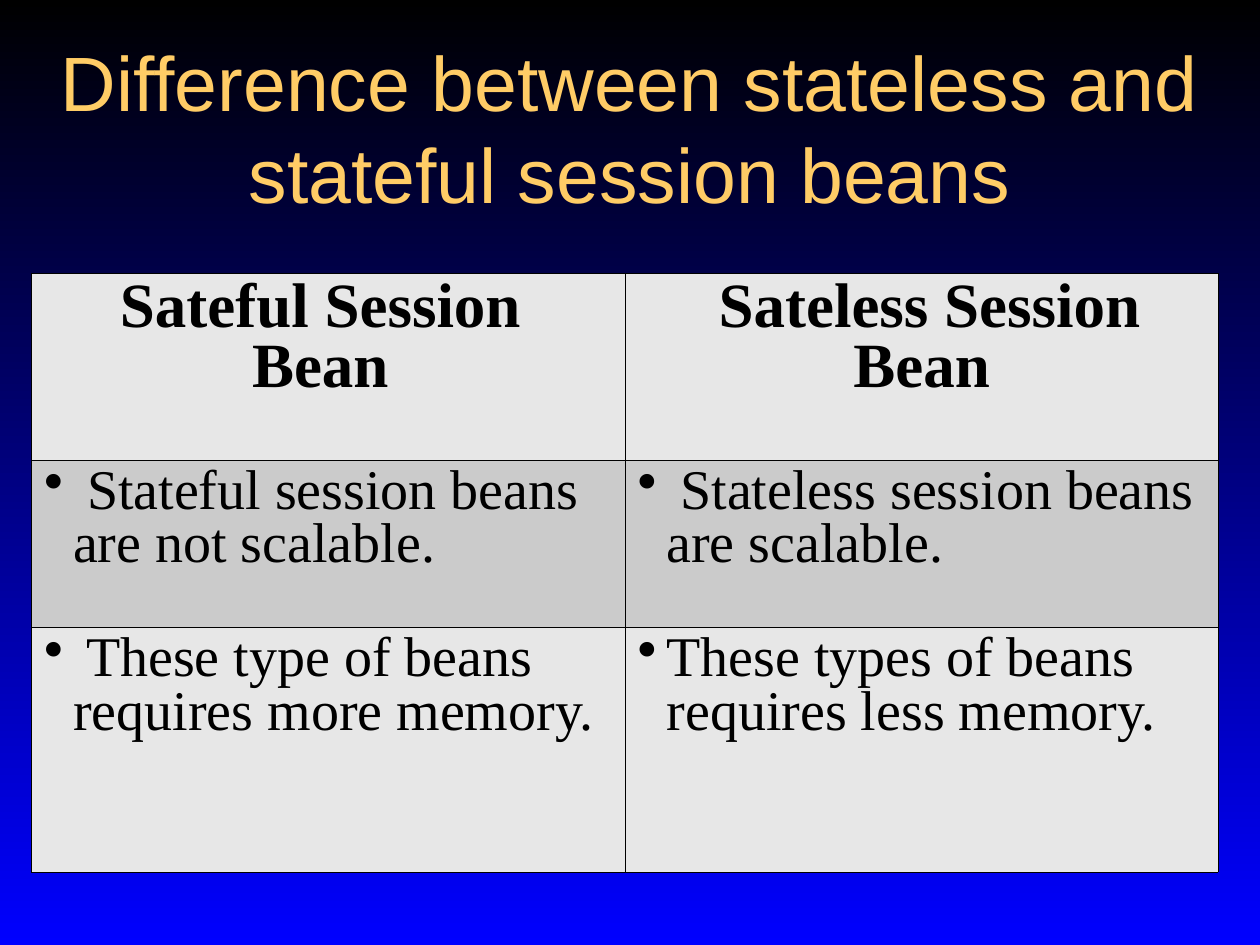
import pptx
import pptx.util
import pptx.dml.color
import pptx.enum.text
import pptx.oxml
import pptx.oxml.ns
from lxml import etree

Inches, Pt = pptx.util.Inches, pptx.util.Pt
RGB = pptx.dml.color.RGBColor.from_string
ALIGN = pptx.enum.text.PP_ALIGN
qn = pptx.oxml.ns.qn

# Content
TITLE = "Difference between stateless and stateful session beans"
HEADINGS = [["Sateful Session ", "Bean "], [" Sateless Session Bean"]]
COMPARISONS = [
    [" Stateful session beans are not scalable.",
     " Stateless session beans are scalable."],
    [" These type of beans requires more memory.",
     "These types of beans requires less memory."],
]
ROW_HEIGHTS = [1.48, 1.33, 1.94]
COLUMN_WIDTH = 4.71

THEME = {
    "top": "000000", "bottom": "0000FF", "title": "FFCC66", "text": "000000",
    "border": "000000", "bands": ["E7E7E7", "CBCBCB"],
    "title_font": "Arial", "table_font": "Times New Roman",
    "title_size": 44, "heading_size": 36, "body_size": 32,
    "line_spacing": 0.86, "hanging": 0.23, "border_width": 0.06,
}


def style_font(paragraph, font_name, size, color, bold=False):
    font = paragraph.font
    font.name, font.size, font.bold = font_name, Pt(size), bold
    font.color.rgb = RGB(color)


def add_bullet(paragraph):
    properties = paragraph._p.get_or_add_pPr()
    hanging = Inches(THEME["hanging"])
    properties.set("marL", str(hanging))
    properties.set("indent", str(-hanging))
    # The bullet goes after the spacing and before the default run properties
    bullet = etree.Element(qn("a:buChar"), char="•")
    properties.find(qn("a:defRPr")).addprevious(bullet)


def add_borders(cell):
    properties = cell._tc.get_or_add_tcPr()
    for position, side in enumerate(("lnL", "lnR", "lnT", "lnB")):
        line = etree.Element(qn("a:" + side), w=str(Pt(THEME["border_width"])))
        fill = etree.SubElement(line, qn("a:solidFill"))
        etree.SubElement(fill, qn("a:srgbClr"), val=THEME["border"])
        properties.insert(position, line)


def fill_cell(cell, lines, size, band, heading):
    cell.fill.solid()
    cell.fill.fore_color.rgb = RGB(band)
    add_borders(cell)
    cell.text = "\n".join(lines)
    for paragraph in cell.text_frame.paragraphs:
        paragraph.line_spacing = THEME["line_spacing"]
        style_font(paragraph, THEME["table_font"], size, THEME["text"], heading)
        if heading:
            paragraph.alignment = ALIGN.CENTER
        else:
            add_bullet(paragraph)


def main():
    deck = pptx.Presentation()
    deck.slide_width, deck.slide_height = Inches(10), Inches(7.5)
    slide = deck.slides.add_slide(deck.slide_layouts[5])

    # Background gradient, top to bottom
    background = slide.background.fill
    background.gradient()
    background.gradient_angle = 270
    for stop, color in zip(background.gradient_stops, ("top", "bottom")):
        stop.color.rgb = RGB(THEME[color])
    for stop, position in zip(background.gradient_stops, (0, 1)):
        stop.position = position

    # Title
    title = slide.shapes.title
    title.left, title.top = Inches(0), Inches(0.22)
    title.width, title.height = Inches(10), Inches(1.57)
    title.text = TITLE
    title.text_frame.vertical_anchor = pptx.enum.text.MSO_ANCHOR.MIDDLE
    heading = title.text_frame.paragraphs[0]
    heading.alignment = ALIGN.CENTER
    style_font(heading, THEME["title_font"], THEME["title_size"], THEME["title"])

    # Comparison table
    columns = len(HEADINGS)
    table = slide.shapes.add_table(
        len(ROW_HEIGHTS), columns, Inches(0.25), Inches(2.17),
        Inches(columns * COLUMN_WIDTH), Inches(sum(ROW_HEIGHTS))).table
    for column in table.columns:
        column.width = Inches(COLUMN_WIDTH)
    rows = [HEADINGS] + [[[text] for text in row] for row in COMPARISONS]
    for r, (row, height) in enumerate(zip(rows, ROW_HEIGHTS)):
        table.rows[r].height = Inches(height)
        size = THEME["body_size" if r else "heading_size"]
        for c, lines in enumerate(row):
            fill_cell(table.cell(r, c), lines, size, THEME["bands"][r % 2], r == 0)

    deck.save("out.pptx")


if __name__ == "__main__":
    main()
